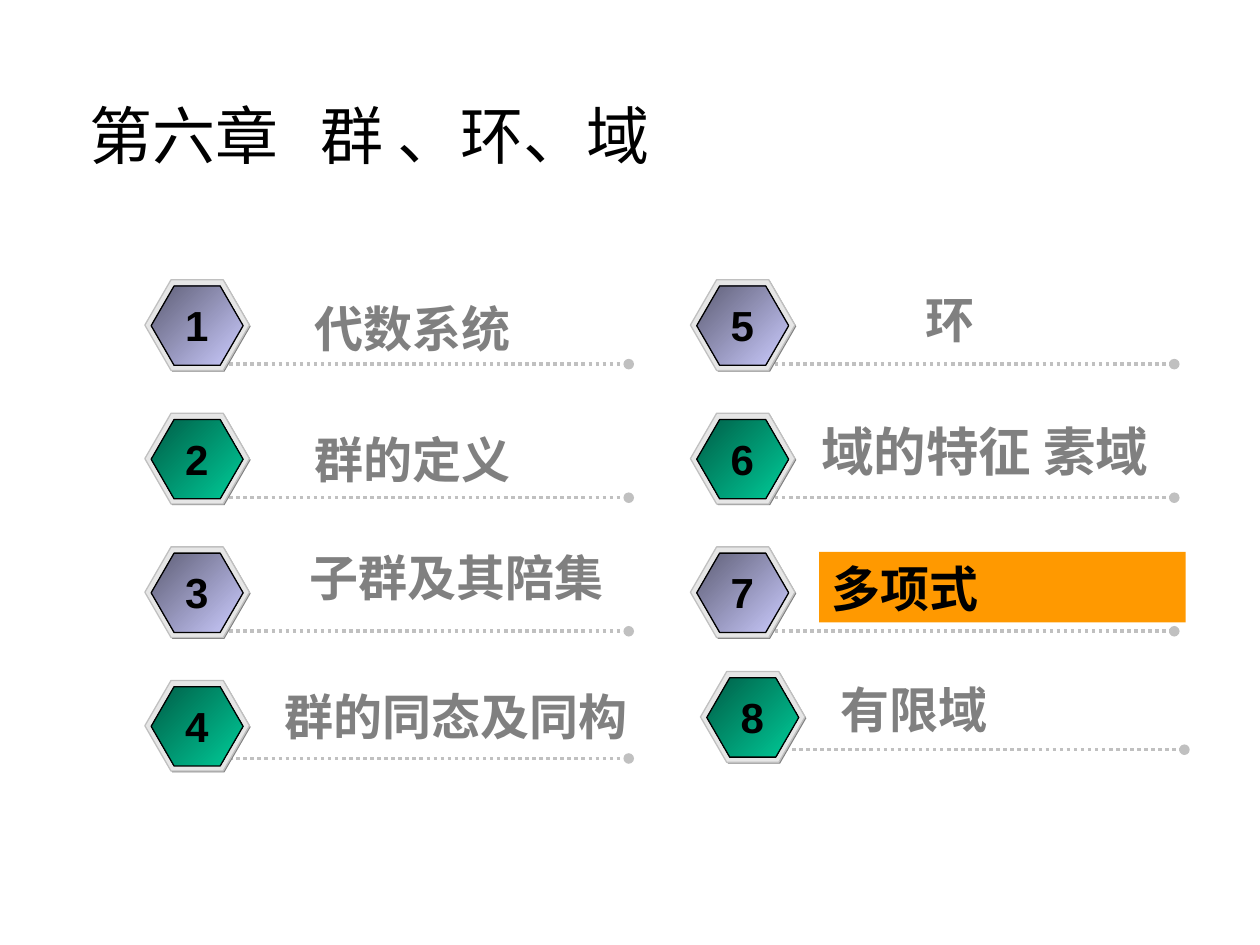
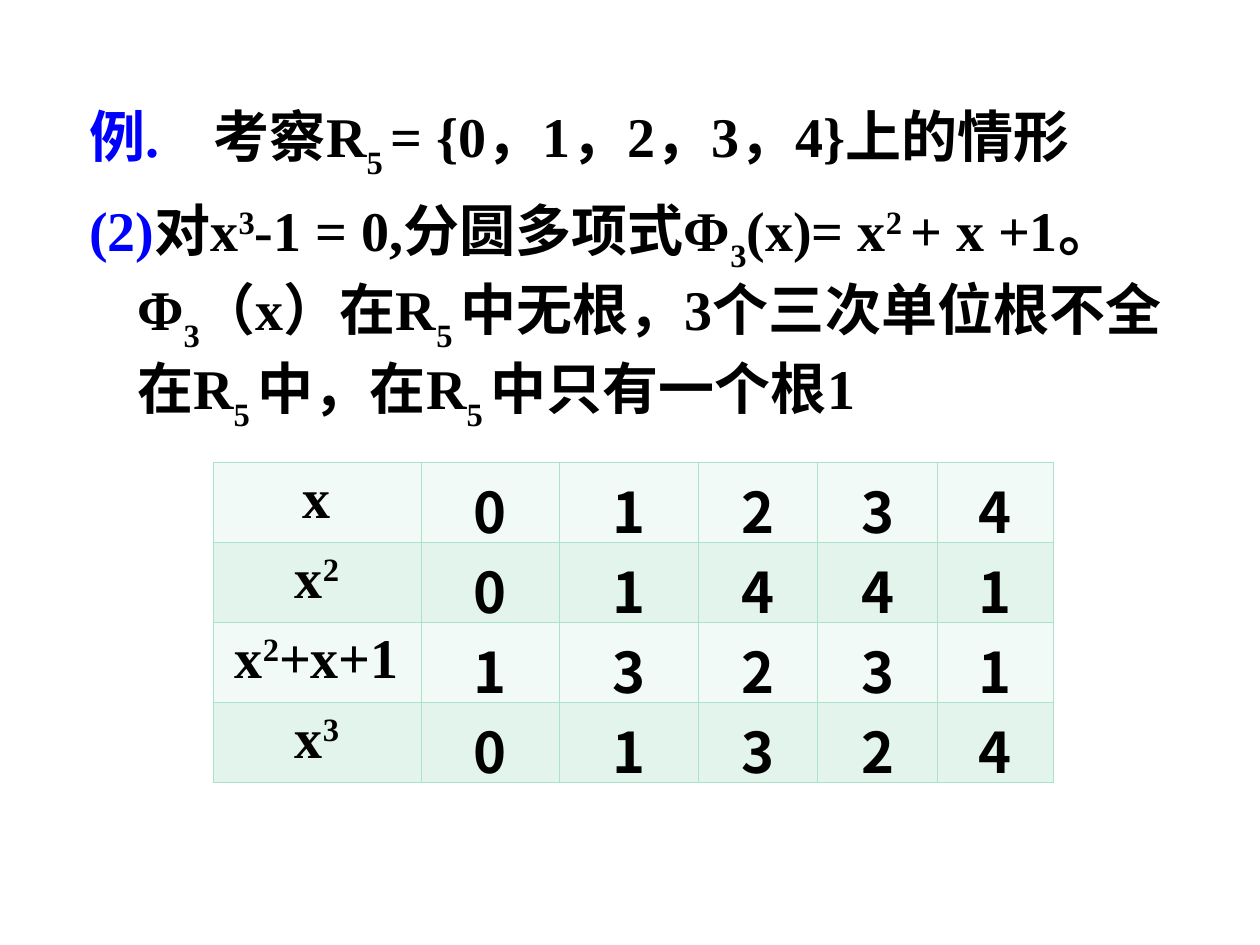
"""Build two algebra slides: a chapter overview and a worked example with a table."""
from lxml.etree import SubElement
from pptx import Presentation
from pptx.dml.color import RGBColor
from pptx.enum.dml import MSO_LINE
from pptx.enum.shapes import MSO_CONNECTOR, MSO_SHAPE
from pptx.enum.text import MSO_ANCHOR, MSO_AUTO_SIZE, PP_ALIGN
from pptx.oxml import parse_xml
from pptx.oxml.ns import nsdecls, qn
from pptx.util import Inches, Pt

BLACK = RGBColor(0x00, 0x00, 0x00)
WHITE = RGBColor(0xFF, 0xFF, 0xFF)
GRAY = RGBColor(0x80, 0x80, 0x80)
SILVER = RGBColor(0xC0, 0xC0, 0xC0)
PALE_GRAY = RGBColor(0xE6, 0xE6, 0xE6)
ORANGE = RGBColor(0xFF, 0x99, 0x00)
BLUE = RGBColor(0x00, 0x00, 0xFF)
VIOLET_SHADES = (RGBColor(0x5E, 0x5E, 0x76), RGBColor(0xCC, 0xCC, 0xFF))
GREEN_SHADES = (RGBColor(0x00, 0x5E, 0x47), RGBColor(0x00, 0xCC, 0x99))
ROW_FILLS = (RGBColor(0xF1, 0xFA, 0xF6), RGBColor(0xE2, 0xF4, 0xEC))
BORDER = RGBColor(0xAA, 0xE2, 0xCA)

SANS = "Noto Sans CJK SC"
SERIF = "Times New Roman"
NUMBER_FONT = "Arial"


def add_run(paragraph, text, size, font=SANS, color=BLACK, bold=True, baseline=0):
    run = paragraph.add_run()
    run.text = text
    run.font.size = Pt(size)
    run.font.name = font
    run.font.bold = bold
    run.font.color.rgb = color
    properties = run._r.get_or_add_rPr()
    SubElement(properties, qn("a:ea"), typeface=SANS)
    if baseline:
        properties.set("baseline", str(baseline * 1000))


def add_tab_stop(paragraph, position):
    properties = paragraph._p.get_or_add_pPr()
    stops = SubElement(properties, qn("a:tabLst"))
    SubElement(stops, qn("a:tab"), pos=str(Inches(position)), algn="l")


presentation = Presentation()
presentation.slide_width = Inches(10)
presentation.slide_height = Inches(7.5)

slide = presentation.slides.add_slide(presentation.slide_layouts[5])
title = slide.shapes.title
title.left, title.top = Inches(0.61), Inches(0.58)
title.width, title.height = Inches(8.77), Inches(0.97)
title.text_frame.auto_size = MSO_AUTO_SIZE.NONE
title.text_frame.vertical_anchor = MSO_ANCHOR.MIDDLE
paragraph = title.text_frame.paragraphs[0]
paragraph.alignment = PP_ALIGN.LEFT
add_tab_stop(paragraph, 1.83)
add_run(paragraph, "第六章\t群 、环、域", 36, bold=False)

LEFT, CENTER = PP_ALIGN.LEFT, PP_ALIGN.CENTER
topics = [
    ("代数系统", 2.4, 2.32, 1.83, 28, LEFT, GRAY, None),
    ("群的定义", 2.4, 3.36, 2.13, 28, LEFT, GRAY, None),
    ("子群及其陪集", 2.01, 4.3, 3.23, 28, CENTER, GRAY, WHITE),
    ("群的同态及同构", 2.16, 5.4, 2.99, 28, LEFT, GRAY, None),
    ("环", 6.5, 2.25, 2.08, 28, CENTER, GRAY, None),
    ("域的特征 素域", 6.42, 3.28, 3.23, 30, LEFT, GRAY, WHITE),
    ("多项式", 6.5, 4.38, 2.91, 28, LEFT, BLACK, ORANGE),
    ("有限域", 6.57, 5.34, 2.99, 28, LEFT, GRAY, None),
]
for index, (topic, left, top, width, size, alignment, color, fill) in enumerate(topics):
    column, row = divmod(index, 4)
    badge_left = 1.15 + 4.33 * column
    badge_top = 2.22 + 1.06 * row
    if index == 7:
        badge_left += 0.08
        badge_top -= 0.07

    rule_left = badge_left + 0.67
    rule_top = badge_top + (0.62 if row == 3 else 0.67)
    rule = slide.shapes.add_connector(
        MSO_CONNECTOR.STRAIGHT, Inches(rule_left), Inches(rule_top),
        Inches(rule_left + 3.17), Inches(rule_top))
    rule.line.color.rgb = SILVER
    rule.line.width = Pt(2)
    rule.line.dash_style = MSO_LINE.ROUND_DOT
    SubElement(rule.line._get_or_add_ln(), qn("a:tailEnd"), type="oval")
    SubElement(rule._element.spPr, qn("a:effectLst"))

    shades = GREEN_SHADES if row % 2 else VIOLET_SHADES
    for shift_x, shift_y, hexagon_width, hexagon_height, hexagon_fill, outline in (
            (0.01, 0.01, 0.83, 0.72, GRAY, None),
            (0, 0, 0.83, 0.72, PALE_GRAY, SILVER),
            (0.05, 0.05, 0.73, 0.63, shades, BLACK)):
        hexagon = slide.shapes.add_shape(
            MSO_SHAPE.HEXAGON, Inches(badge_left + shift_x), Inches(badge_top + shift_y),
            Inches(hexagon_width), Inches(hexagon_height))
        hexagon.adjustments[0] = 0.289
        hexagon.shadow.inherit = False
        if hexagon_fill is shades:
            hexagon.fill.gradient()
            hexagon.fill.gradient_angle = 315
            for position, (stop, shade) in enumerate(zip(hexagon.fill.gradient_stops, shades)):
                stop.position = position
                stop.color.rgb = shade
        else:
            hexagon.fill.solid()
            hexagon.fill.fore_color.rgb = hexagon_fill
        if outline is None:
            hexagon.line.fill.background()
        else:
            hexagon.line.color.rgb = outline
            hexagon.line.width = Pt(0.75)

    number = slide.shapes.add_textbox(
        Inches(badge_left + 0.22), Inches(badge_top + 0.11), Inches(0.38), Inches(0.5))
    number.text_frame.word_wrap = False
    paragraph = number.text_frame.paragraphs[0]
    paragraph.alignment = CENTER
    add_run(paragraph, str(index + 1), 24, NUMBER_FONT)

    label = slide.shapes.add_textbox(
        Inches(left), Inches(top), Inches(width), Inches(size / 50))
    label.text_frame.word_wrap = True
    if fill is not None:
        label.fill.solid()
        label.fill.fore_color.rgb = fill
    paragraph = label.text_frame.paragraphs[0]
    paragraph.alignment = alignment
    add_run(paragraph, topic, size, color=color)

slide = presentation.slides.add_slide(presentation.slide_layouts[6])
example = slide.shapes.add_textbox(Inches(0.61), Inches(0.76), Inches(9.1), Inches(5.86))
example.text_frame.word_wrap = True
statement = example.text_frame.paragraphs[0]
add_tab_stop(statement, 0.99)
add_run(statement, "例.\t", 32, SERIF, BLUE)
for text, baseline in (("考察R", 0), ("5 ", -30), ("= {0，1，2，3，4}上的情形", 0)):
    add_run(statement, text, 32, SERIF, baseline=baseline)

solution = example.text_frame.add_paragraph()
solution.space_before = Pt(8)
properties = solution._p.get_or_add_pPr()
properties.set("marL", str(Inches(0.38)))
properties.set("indent", str(-Inches(0.38)))
add_run(solution, "(2)", 32, SERIF, BLUE)
equation = [("对x", 0), ("3", 30), ("-1 = 0,分圆多项式Φ", 0), ("3", -30),
            ("(х)= x", 0), ("2 ", 30), ("+ x +1。", 0)]
conclusion = [("Φ", 0), ("3", -30), ("（х）在R", 0), ("5 ", -30),
              ("中无根，3个三次单位根不全在R", 0), ("5 ", -30),
              ("中，在R", 0), ("5 ", -30), ("中只有一个根1", 0)]
for text, baseline in equation:
    add_run(solution, text, 32, SERIF, baseline=baseline)
solution.add_line_break()
for text, baseline in conclusion:
    add_run(solution, text, 32, SERIF, baseline=baseline)

value_rows = [
    ([("x", 0)], "01234"),
    ([("x", 0), ("2", 30)], "01441"),
    ([("x", 0), ("2", 30), ("+x+1", 0)], "13231"),
    ([("x", 0), ("3", 30)], "01324"),
]
column_widths = (1.65, 1.1, 1.1, 0.95, 0.95, 0.92)
table = slide.shapes.add_table(
    len(value_rows), len(column_widths), Inches(1.69), Inches(3.67),
    Inches(sum(column_widths)), Inches(2.53)).table
table.first_row = False
table.horz_banding = False
for column, width in zip(table.columns, column_widths):
    column.width = Inches(width)
for row_index, (expression, digits) in enumerate(value_rows):
    table.rows[row_index].height = Inches(0.63)
    cell_contents = [expression] + [[(digit, 0)] for digit in digits]
    for column_index, content in enumerate(cell_contents):
        cell = table.cell(row_index, column_index)
        cell.fill.solid()
        cell.fill.fore_color.rgb = ROW_FILLS[row_index % 2]
        for position, side in enumerate(("lnL", "lnR", "lnT", "lnB")):
            border = parse_xml(
                f'<a:{side} {nsdecls("a")} w="{Pt(0.45)}"><a:solidFill>'
                f'<a:srgbClr val="{BORDER}"/></a:solidFill></a:{side}>')
            cell._tc.get_or_add_tcPr().insert(position, border)
        paragraph = cell.text_frame.paragraphs[0]
        paragraph.alignment = CENTER
        for text, baseline in content:
            add_run(paragraph, text, 32, SANS if column_index else SERIF, baseline=baseline)

presentation.save("out.pptx")
